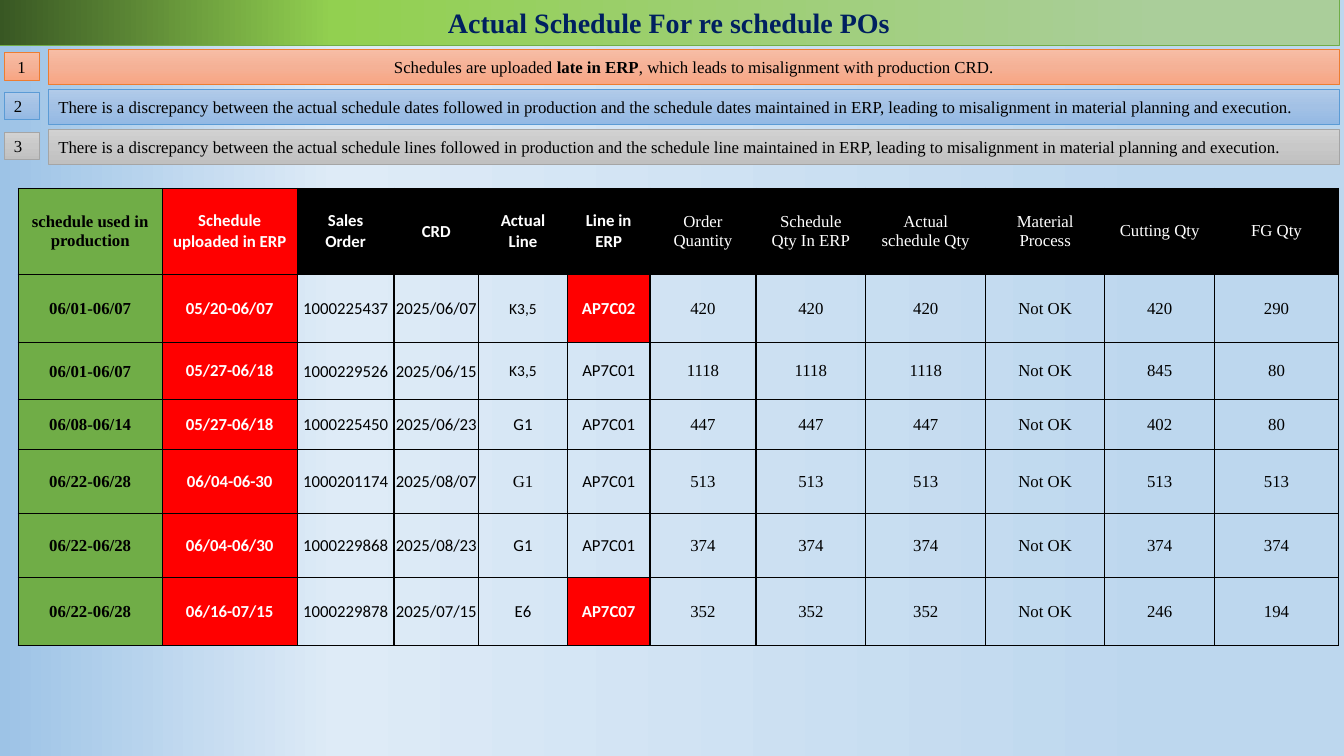
from dataclasses import dataclass

from lxml import etree
from pptx import Presentation
from pptx import util as u
from pptx.dml.color import RGBColor
from pptx.enum import shapes, text
from pptx.oxml import ns
from pptx.util import Cm


@dataclass(frozen=True)
class Theme:
    serif: str = "Times New Roman"
    sans: str = "Calibri"
    title_size: int = 20
    body_size: int = 12
    small_size: int = 11
    black: str = "000000"
    white: str = "FFFFFF"
    navy: str = "002060"
    green: str = "70AD47"
    red: str = "FF0000"
    background: tuple = ((13, "BDD7EE"), (75, "DEEBF7"), (100, "9DC3E6"))
    banner: tuple = ((13, "AACE9A"), (75, "92D050"), (100, "385723"))
    orange_bar: tuple = ((0, "F7BDA5"), (50, "F5B196"), (100, "F8A582"))
    blue_bar: tuple = ((0, "B1CBE9"), (50, "A3C1E5"), (100, "93B9E4"))
    gray_bar: tuple = ((0, "D2D2D2"), (50, "C8C8C8"), (100, "C0C0C0"))
    orange_line: str = "ED7D31"
    blue_line: str = "5B9BD5"
    gray_line: str = "A5A5A5"


THEME = Theme()
CENTER, LEFT = text.PP_ALIGN.CENTER, text.PP_ALIGN.LEFT

FINDINGS = [
    ([("Schedules are uploaded ", False), ("late in ERP", True),
      (", which leads to misalignment with production CRD.", False)],
     CENTER, THEME.orange_bar, THEME.orange_line),
    ([("There is a discrepancy between the actual schedule dates followed in production and the "
       "schedule dates maintained in ERP, leading to misalignment in material planning and execution.", False)],
     LEFT, THEME.blue_bar, THEME.blue_line),
    ([("There is a discrepancy between the actual schedule lines followed in production and the "
       "schedule line maintained in ERP, leading to misalignment in material planning and execution.", False)],
     LEFT, THEME.gray_bar, THEME.gray_line),
]

HEADERS = ["schedule used in production", "Schedule uploaded in ERP", "Sales Order", "CRD",
           "Actual Line", "Line in ERP", "Order Quantity", "Schedule Qty In ERP",
           "Actual schedule Qty", "Material Process", "Cutting Qty", "FG Qty"]
ORDERS = [
    ("06/01-06/07", "05/20-06/07", "1000225437", "2025/06/07", "K3,5", "AP7C02", 420, 420, 290),
    ("06/01-06/07", "05/27-06/18", "1000229526", "2025/06/15", "K3,5", "AP7C01", 1118, 845, 80),
    ("06/08-06/14", "05/27-06/18", "1000225450", "2025/06/23", "G1", "AP7C01", 447, 402, 80),
    ("06/22-06/28", "06/04-06-30", "1000201174", "2025/08/07", "G1", "AP7C01", 513, 513, 513),
    ("06/22-06/28", "06/04-06/30", "1000229868", "2025/08/23", "G1", "AP7C01", 374, 374, 374),
    ("06/22-06/28", "06/16-07/15", "1000229878", "2025/07/15", "E6", "AP7C07", 352, 246, 194),
]
COLUMN_WIDTHS = [3.63, 3.4, 2.44, 2.13, 2.24, 2.08, 2.67, 2.77, 3.02, 3, 2.77, 3.12]
ROW_HEIGHTS = [2.16, 1.73, 1.42, 1.27, 1.6, 1.63, 1.7]
TIGHT_COLUMNS = (0, 2, 3)
MISMATCHED_LINES = ("AP7C02", "AP7C07")
SERIF_LINE_ROW = 4


def paint_gradient(fill, element, stops, angle):
    fill.gradient()
    fill.gradient_angle = (360 - angle) % 360
    stop_list = element.find(".//" + ns.qn("a:gsLst"))
    for stop in list(stop_list):
        stop_list.remove(stop)
    for position, color in stops:
        stop = etree.SubElement(stop_list, ns.qn("a:gs"), pos=str(position * 1000))
        etree.SubElement(stop, ns.qn("a:srgbClr"), val=color)


def add_run(paragraph, words, color, size=THEME.body_size, font=THEME.serif, bold=False):
    run = paragraph.add_run()
    run.text = words
    run.font.name = font
    run.font.size = u.Pt(size)
    run.font.bold = bold
    run.font.color.rgb = RGBColor.from_string(color)


def style_box(shape, stops, angle, line_color, alignment):
    paint_gradient(shape.fill, shape.element, stops, angle)
    shape.line.color.rgb = RGBColor.from_string(line_color)
    shape.line.width = u.Pt(0.5)
    frame = shape.text_frame
    frame.word_wrap = True
    frame.auto_size = text.MSO_AUTO_SIZE.NONE
    frame.vertical_anchor = text.MSO_ANCHOR.MIDDLE
    frame.paragraphs[0].alignment = alignment
    return frame.paragraphs[0]


def set_title(slide, words):
    title = slide.shapes.title
    title.left, title.top, title.width, title.height = Cm(-0.03), Cm(-0.03), Cm(33.78), Cm(1.17)
    paragraph = style_box(title, THEME.banner, 180, THEME.green, CENTER)
    add_run(paragraph, words, THEME.navy, THEME.title_size, bold=True)


def add_bar(slide, left, top, width, height, runs, alignment, stops, line_color):
    shape = slide.shapes.add_shape(shapes.MSO_SHAPE.RECTANGLE, Cm(left), Cm(top), Cm(width), Cm(height))
    shape.shadow.inherit = False
    paragraph = style_box(shape, stops, 90, line_color, alignment)
    for words, bold in runs:
        add_run(paragraph, words, THEME.black, bold=bold)


def add_findings(slide):
    for index, (runs, alignment, stops, line_color) in enumerate(FINDINGS):
        top = 1.25 + index
        add_bar(slide, 0.1, top + 0.08, 0.89, 0.69, [(str(index + 1), False)], alignment, stops, line_color)
        add_bar(slide, 1.22, top, 32.54, 0.89, runs, alignment, stops, line_color)


def add_borders(cell):
    properties = cell._tc.get_or_add_tcPr()
    for side in ("lnL", "lnR", "lnT", "lnB"):
        line = etree.SubElement(properties, ns.qn("a:" + side), w=str(u.Pt(1)))
        solid = etree.SubElement(line, ns.qn("a:solidFill"))
        etree.SubElement(solid, ns.qn("a:srgbClr"), val=THEME.black)


def cell_style(row, column, words):
    header = row == 0
    mismatch = words in MISMATCHED_LINES
    if column == 0:
        fill, color = THEME.green, THEME.black
    elif column == 1 or mismatch:
        fill, color = THEME.red, THEME.white
    elif header:
        fill, color = THEME.black, THEME.white
    else:
        fill, color = None, THEME.black
    sans = 1 <= column <= 5 and (row, column) != (SERIF_LINE_ROW, 4)
    bold = column < 2 or mismatch or (header and column < 6)
    size = THEME.small_size if words == "K3,5" else THEME.body_size
    return fill, dict(color=color, size=size, font=THEME.sans if sans else THEME.serif, bold=bold)


def fill_cell(cell, row, column, words):
    fill, run_style = cell_style(row, column, words)
    add_borders(cell)
    if fill:
        cell.fill.solid()
        cell.fill.fore_color.rgb = RGBColor.from_string(fill)
    else:
        cell.fill.background()
    cell.vertical_anchor = text.MSO_ANCHOR.MIDDLE
    if row > 0 and (column in TIGHT_COLUMNS or words == "K3,5"):
        cell.margin_left = cell.margin_right = cell.margin_top = Cm(0.03)
        cell.margin_bottom = Cm(0)
    paragraph = cell.text_frame.paragraphs[0]
    paragraph.alignment = CENTER
    add_run(paragraph, words, **run_style)


def add_schedule_table(slide):
    rows = [HEADERS]
    for *labels, quantity, cutting, finished in ORDERS:
        rows.append([*labels, *[str(quantity)] * 3, "Not OK", str(cutting), str(finished)])
    frame = slide.shapes.add_table(len(rows), len(HEADERS), Cm(0.46), Cm(4.75),
                                   Cm(sum(COLUMN_WIDTHS)), Cm(sum(ROW_HEIGHTS)))
    table = frame.table
    table.first_row = table.horz_banding = False
    for column, width in zip(table.columns, COLUMN_WIDTHS):
        column.width = Cm(width)
    for row, height in zip(table.rows, ROW_HEIGHTS):
        row.height = Cm(height)
    for row, values in enumerate(rows):
        for column, words in enumerate(values):
            fill_cell(table.cell(row, column), row, column, words)


def main():
    presentation = Presentation()
    presentation.slide_width, presentation.slide_height = Cm(33.87), Cm(19.05)
    slide = presentation.slides.add_slide(presentation.slide_layouts.get_by_name("Title Only"))
    paint_gradient(slide.background.fill, slide.element, THEME.background, 180)
    add_schedule_table(slide)
    set_title(slide, "Actual Schedule For re schedule POs")
    add_findings(slide)
    presentation.save("out.pptx")


if __name__ == "__main__":
    main()
